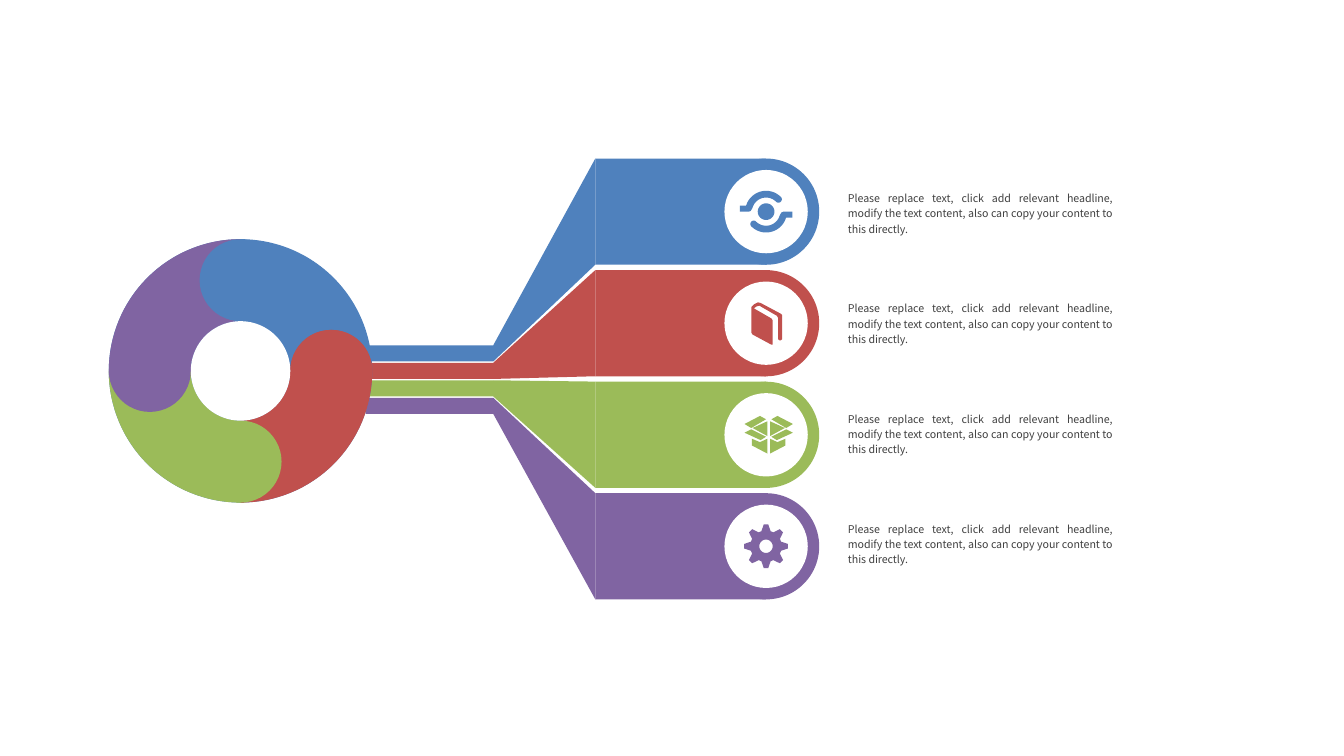
from math import cos, radians, sin

from pptx import Presentation
from pptx.dml.color import RGBColor
from pptx.enum.shapes import MSO_SHAPE as SHAPE
from pptx.enum.text import MSO_AUTO_SIZE as AUTO_SIZE, PP_ALIGN as ALIGN
from pptx.util import Inches, Pt

BLUE, RED, GREEN, PURPLE = "4F81BD", "C0504D", "9BBB59", "8064A2"
WHITE, GREY = "FFFFFF", "404040"
FONT = "Noto Sans CJK SC"
BODY = ("Please replace text, click add relevant headline, modify the text "
        "content, also can copy your content to this directly.")

BAND_TOP, BAND_PITCH, BAND_H = 1.18, 0.83, 0.79
STRIPE_TOP, STRIPE_PITCH, STRIPE_H = 2.57, 0.13, 0.12
STRIPE_X, WING_X, BAND_X = 2.72, 3.67, 4.43
BADGE_X, BADGE_R = 5.7, 0.31
TEXT_TOP, TEXT_PITCH = 1.41, 0.82
WHEEL_X, WHEEL_Y, WHEEL_R, HOLE_R = 1.79, 2.76, 0.98, 0.37
CAP_R = (WHEEL_R - HOLE_R) / 2


def rgb(value):
    return RGBColor.from_string(value)


def paint(sp, color):
    sp.shadow.inherit = False
    sp.fill.solid()
    sp.fill.fore_color.rgb = rgb(color)
    sp.line.fill.background()


def add_box(shapes, kind, x, y, w, h, color):
    sp = shapes.add_shape(kind, Inches(x), Inches(y), Inches(w), Inches(h))
    paint(sp, color)


def add_disc(shapes, cx, cy, radius, color):
    add_box(shapes, SHAPE.OVAL, cx - radius, cy - radius,
            2 * radius, 2 * radius, color)


def add_outline(shapes, contours, color):
    builder = None
    for contour in contours:
        points = [(Inches(x), Inches(y)) for x, y in contour]
        if builder is None:
            builder = shapes.build_freeform(*points[0])
        else:
            builder.move_to(*points[0])
        builder.add_line_segments(points[1:], close=True)
    paint(builder.convert_to_shape(), color)


def add_text(shapes, x, y, w, h, text):
    sp = shapes.add_textbox(Inches(x), Inches(y), Inches(w), Inches(h))
    tf = sp.text_frame
    tf.word_wrap = True
    tf.auto_size = AUTO_SIZE.SHAPE_TO_FIT_TEXT
    tf.margin_left = tf.margin_right = tf.margin_top = tf.margin_bottom = 0
    tf.text = text
    p = tf.paragraphs[0]
    p.alignment = ALIGN.JUSTIFY
    p.line_spacing = 1.2
    font = p.runs[0].font
    font.name = FONT
    font.size = Pt(5.7)
    font.color.rgb = rgb(GREY)


def polar(cx, cy, radius, angle):
    a = radians(angle)
    return cx + radius * cos(a), cy - radius * sin(a)


def arc(cx, cy, radius, start, end, steps=32):
    return [polar(cx, cy, radius, start + (end - start) * i / steps)
            for i in range(steps + 1)]


def orbit_icon():
    tip = polar(0, 0, 13, 45)
    upper = (arc(0, 0, 15.5, 163, 45) + arc(*tip, 2.5, 45, -135)
             + arc(0, 0, 10.5, 45, 165)
             + [(-11.5, -0.5), (-13, 0), (-19.5, 0), (-19.5, -4.5)])
    lower = [(-x, -y) for x, y in upper]
    return [upper, lower, arc(0, 0, 6.2, 0, 360)]


def book_icon():
    return [[(11, -7), (-4, -15), (-6, -15.5), (-9, -14), (-11, -12),
             (-11, 7), (-10, 8.5), (4, 16), (5, 16), (5, -2), (4, -3.5),
             (-9, -11), (-7, -12.5), (-5, -13), (8, -5.5), (9, -4),
             (9, 12), (10.5, 13), (12, 12), (12, -6)]]


def carton_icon():
    left = [[(-16, -8), (-4.5, -14), (0, -11.5), (-11, -5)],
            [(-11, -4), (0, 1.5), (-4, 4), (-16, -1.5)],
            [(-10, -5), (1, -10), (1, 1)],
            [(-10.5, 3), (-4.5, 5.5), (1, 3), (1, 14), (-10.5, 8)]]
    right = [[(4 - x, y) for x, y in contour] for contour in left]
    return left + right


def gear_icon():
    tooth = [(-17, 11.7), (-6, 16.3), (6, 16.3), (17, 11.7)]
    rim = [polar(0, 0, radius, 45 * i + turn)
           for i in range(8) for turn, radius in tooth]
    return [rim, arc(0, 0, 5, 0, 360)]


def add_icon(shapes, cx, cy, contours, color):
    add_outline(shapes, [[(cx + x / 100, cy + y / 100) for x, y in contour]
                         for contour in contours], color)


def add_band(slide, i, color, icon):
    shapes = slide.shapes.add_group_shape().shapes
    top = BAND_TOP + BAND_PITCH * i
    stripe = STRIPE_TOP + STRIPE_PITCH * i
    middle = top + BAND_H / 2
    add_box(shapes, SHAPE.RECTANGLE, BAND_X, top,
            BADGE_X - BAND_X, BAND_H, color)
    add_box(shapes, SHAPE.RECTANGLE, STRIPE_X, stripe,
            WING_X - STRIPE_X, STRIPE_H, color)
    add_outline(shapes, [[(WING_X, stripe), (BAND_X, top),
                          (BAND_X, top + BAND_H),
                          (WING_X, stripe + STRIPE_H)]], color)
    add_disc(shapes, BADGE_X, middle, BAND_H / 2, color)
    add_disc(shapes, BADGE_X, middle, BADGE_R, WHITE)
    add_icon(shapes, BADGE_X, middle, icon, color)


def add_wheel(slide):
    shapes = slide.shapes.add_group_shape().shapes
    hub = WHEEL_X, WHEEL_Y
    add_disc(shapes, *hub, WHEEL_R, BLUE)
    previous = BLUE
    for start, color in ((90, PURPLE), (180, GREEN), (270, RED)):
        end = start + 90
        cap = polar(*hub, HOLE_R + CAP_R, end)
        add_outline(shapes, [arc(*hub, WHEEL_R, start, end)
                             + arc(*cap, CAP_R, end, end + 180)
                             + arc(*hub, HOLE_R, end, start)], color)
        add_disc(shapes, *polar(*hub, HOLE_R + CAP_R, start), CAP_R, previous)
        previous = color
    add_disc(shapes, *polar(*hub, HOLE_R + CAP_R, 0), CAP_R, previous)
    add_disc(shapes, *hub, HOLE_R, WHITE)


def main():
    prs = Presentation()
    prs.slide_width = Inches(10)
    prs.slide_height = prs.slide_width * 9 // 16
    slide = prs.slides.add_slide(prs.slide_layouts[6])
    bands = ((BLUE, orbit_icon()), (RED, book_icon()),
             (GREEN, carton_icon()), (PURPLE, gear_icon()))
    for i, (color, icon) in enumerate(bands):
        add_text(slide.shapes, 6.31, TEXT_TOP + TEXT_PITCH * i,
                 1.97, 0.34, BODY)
        add_band(slide, i, color, icon)
    add_wheel(slide)
    prs.save("out.pptx")


if __name__ == "__main__":
    main()
